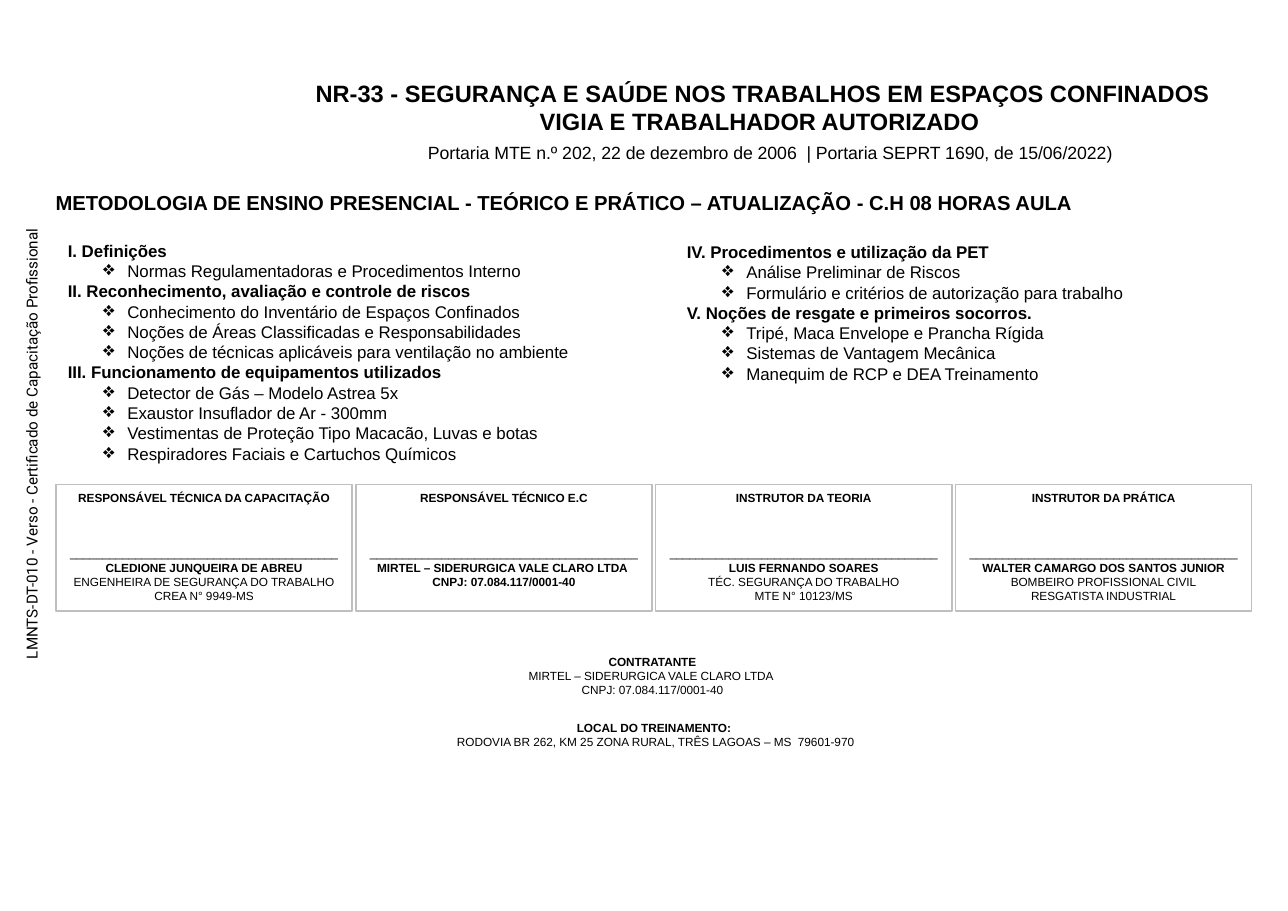
import math

import pptx
import pptx.dml.color
import pptx.enum.shapes
import pptx.enum.text
import pptx.oxml
import pptx.oxml.ns
import pptx.util

# Landscape sheet with the proportions of the A series
SLIDE_HEIGHT = pptx.util.Inches(7.5)
SLIDE_WIDTH = pptx.util.Emu(round(SLIDE_HEIGHT * math.sqrt(2)))
CENTER = pptx.enum.text.PP_ALIGN.CENTER
LEFT = pptx.enum.text.PP_ALIGN.LEFT

CARDS_LEFT, CARDS_TOP = 4.34, 53.2
CARD_WIDTH, CARD_HEIGHT, CARD_PITCH = 23, 13.87, 23.28
CARD_TEXT_SIZE = 7
SIGNATURE_GAP = 24.5
SIGNATURE_LINE = "_" * 41

COMPANY = "MIRTEL – SIDERURGICA VALE CLARO LTDA "
COMPANY_ID = "CNPJ: 07.084.117/0001-40"

TOPICS_LEFT = [
    ("I. Definições", ["Normas Regulamentadoras e Procedimentos Interno"]),
    ("II. Reconhecimento, avaliação e controle de riscos", [
        "Conhecimento do Inventário de Espaços Confinados",
        "Noções de Áreas Classificadas e Responsabilidades",
        "Noções de técnicas aplicáveis para ventilação no ambiente"]),
    ("III. Funcionamento de equipamentos utilizados", [
        "Detector de Gás – Modelo Astrea 5x",
        "Exaustor Insuflador de Ar - 300mm",
        "Vestimentas de Proteção Tipo Macacão, Luvas e botas",
        "Respiradores Faciais e Cartuchos Químicos"]),
]
TOPICS_RIGHT = [
    ("IV. Procedimentos e utilização da PET", [
        "Análise Preliminar de Riscos",
        "Formulário e critérios de autorização para trabalho"]),
    ("V. Noções de resgate e primeiros socorros.", [
        "Tripé, Maca Envelope e Prancha Rígida",
        "Sistemas de Vantagem Mecânica",
        "Manequim de RCP e DEA Treinamento"]),
]
# Role, then the lines under the signature as (text, bold)
SIGNATURES = [
    ("RESPONSÁVEL TÉCNICA DA CAPACITAÇÃO", [
        ("CLEDIONE JUNQUEIRA DE ABREU", True),
        ("ENGENHEIRA DE SEGURANÇA DO TRABALHO", False),
        ("CREA N° 9949-MS", False)]),
    ("RESPONSÁVEL TÉCNICO E.C", [(COMPANY, True), (COMPANY_ID, True)]),
    ("INSTRUTOR DA TEORIA", [
        ("LUIS FERNANDO SOARES", True),
        ("TÉC. SEGURANÇA DO TRABALHO", False),
        ("MTE N° 10123/MS", False)]),
    ("INSTRUTOR DA PRÁTICA", [
        ("WALTER CAMARGO DOS SANTOS JUNIOR", True),
        ("BOMBEIRO PROFISSIONAL CIVIL", False),
        ("RESGATISTA INDUSTRIAL", False)]),
]


def color(hex_string):
    return pptx.dml.color.RGBColor.from_string(hex_string)


def place(left, top, width, height):
    """Turn percentages of the slide's size into lengths."""
    return (round(SLIDE_WIDTH * left / 100), round(SLIDE_HEIGHT * top / 100),
            round(SLIDE_WIDTH * width / 100), round(SLIDE_HEIGHT * height / 100))


def add_bullet(paragraph):
    properties = paragraph._p.get_or_add_pPr()
    properties.set("marL", str(pptx.util.Inches(0.49)))
    properties.set("indent", str(pptx.util.Inches(-0.2)))
    for element in ('buSzPct {} val="120000"', 'buChar {} char="❖"'):
        markup = element.format(pptx.oxml.ns.nsdecls("a"))
        properties.append(pptx.oxml.parse_xml(f"<a:{markup}/>"))


def write_lines(shape, lines, size, alignment=LEFT, font="Arial"):
    """Fill a shape with (text, bold) lines and return the paragraphs."""
    frame = shape.text_frame
    frame.word_wrap = True
    frame.vertical_anchor = pptx.enum.text.MSO_ANCHOR.TOP
    for index, (text, bold) in enumerate(lines):
        paragraph = frame.add_paragraph() if index else frame.paragraphs[0]
        paragraph.alignment = alignment
        run = paragraph.add_run()
        run.text = text
        run.font.name = font
        run.font.size = pptx.util.Pt(size)
        run.font.bold = bold
        run.font.color.rgb = color("000000")
    return frame.paragraphs


def add_text(slide, area, lines, size, alignment=LEFT, font="Arial"):
    box = slide.shapes.add_textbox(*place(*area))
    write_lines(box, lines, size, alignment, font)
    box.text_frame.auto_size = pptx.enum.text.MSO_AUTO_SIZE.SHAPE_TO_FIT_TEXT
    return box


def add_topics(slide, area, topics):
    lines = []
    for heading, items in topics:
        lines.append((heading, True))
        lines.extend((item, False) for item in items)
    box = add_text(slide, area, lines, 10)
    for paragraph, (_, is_heading) in zip(box.text_frame.paragraphs, lines):
        if not is_heading:
            add_bullet(paragraph)


def add_signature_card(slide, column, role, signer_lines):
    area = place(CARDS_LEFT + column * CARD_PITCH, CARDS_TOP, CARD_WIDTH, CARD_HEIGHT)
    card = slide.shapes.add_shape(pptx.enum.shapes.MSO_SHAPE.RECTANGLE, *area)
    card.shadow.inherit = False
    card.fill.background()
    card.line.color.rgb = color("BFBFBF")
    card.line.width = pptx.util.Pt(1)
    lines = [(role, True), (SIGNATURE_LINE, False)] + signer_lines
    paragraphs = write_lines(card, lines, CARD_TEXT_SIZE, CENTER)
    paragraphs[1].space_before = pptx.util.Pt(SIGNATURE_GAP)


def main():
    presentation = pptx.Presentation()
    presentation.slide_width = SLIDE_WIDTH
    presentation.slide_height = SLIDE_HEIGHT
    slide = presentation.slides.add_slide(presentation.slide_layouts[6])

    side_label = add_text(
        slide, (-18.19, 42.8, 41.28, 3.33),
        [("LMNTS-DT-010 - Verso - Certificado de Capacitação Profissional", False)],
        9, font="Roboto")
    side_label.rotation = 270

    add_text(slide, (23.37, 8, 71.72, 7.6), [
        ("NR-33 - SEGURANÇA E SAÚDE NOS TRABALHOS EM ESPAÇOS CONFINADOS ", True),
        ("VIGIA E TRABALHADOR AUTORIZADO ", True)], 14, CENTER)
    add_text(slide, (23.37, 14.93, 72.57, 3.73), [
        (" Portaria MTE n.º 202, 22 de dezembro de 2006  | Portaria SEPRT 1690, de 15/06/2022)",
         False)], 10.5, CENTER)
    add_text(slide, (3.39, 20.27, 91.99, 4), [
        ("METODOLOGIA DE ENSINO PRESENCIAL - TEÓRICO E PRÁTICO – ATUALIZAÇÃO - C.H 08 HORAS AULA",
         True)], 12)

    add_topics(slide, (4.34, 25.73, 46.28, 26), TOPICS_LEFT)
    add_topics(slide, (52.4, 25.87, 42.79, 17.07), TOPICS_RIGHT)

    for column, (role, signer_lines) in enumerate(SIGNATURES):
        add_signature_card(slide, column, role, signer_lines)

    add_text(slide, (36.66, 71.2, 27.99, 6), [
        ("CONTRATANTE", True), (COMPANY, False), (COMPANY_ID, False)],
        CARD_TEXT_SIZE, CENTER)
    add_text(slide, (28.09, 78.4, 45.62, 4.53), [
        ("LOCAL DO TREINAMENTO: ", True),
        ("RODOVIA BR 262, KM 25 ZONA RURAL, TRÊS LAGOAS – MS  79601-970", False)],
        CARD_TEXT_SIZE, CENTER)

    presentation.save("out.pptx")


if __name__ == "__main__":
    main()
